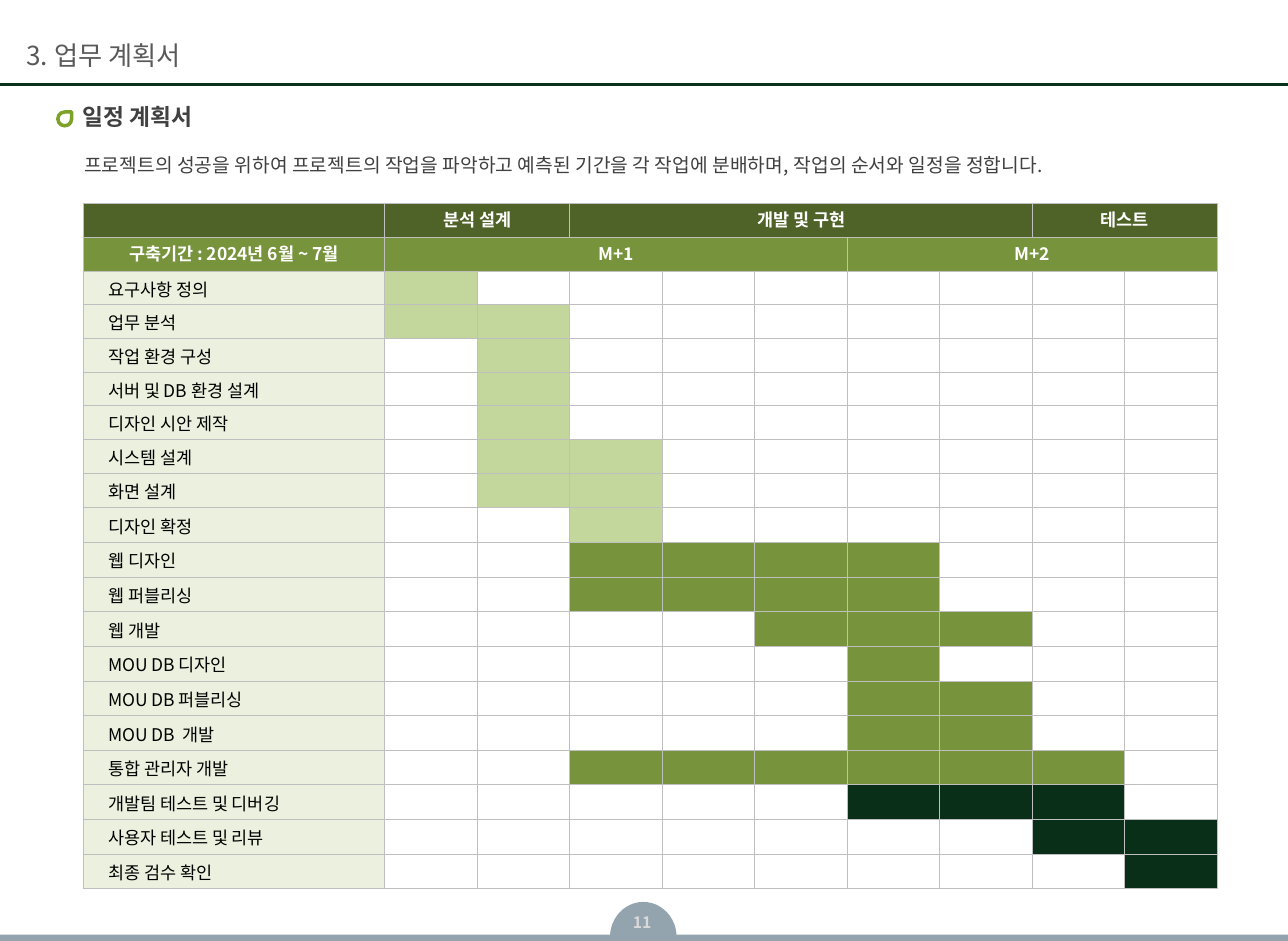
"""Build the project schedule slide with its Gantt table."""
import pptx
import pptx.util
import pptx.dml.color
import pptx.enum.shapes
import pptx.enum.text
import pptx.oxml.ns
from lxml import etree

Inches, Pt, Cm = pptx.util.Inches, pptx.util.Pt, pptx.util.Cm
ALIGN = pptx.enum.text.PP_ALIGN
ANCHOR = pptx.enum.text.MSO_ANCHOR
SHAPE = pptx.enum.shapes.MSO_SHAPE
qn = pptx.oxml.ns.qn

WIDTH, HEIGHT = 10.24, 7.48
FONT = "Noto Sans CJK KR"
COLORS = {
    "white": "FFFFFF", "black": "000000", "text": "404040", "section": "595959",
    "footer": "93A4AE", "number": "D9D9D9", "rule": "093019", "drop": "7CA228",
    "border": "BFBFBF", "phase": "4F6228", "month": "77933C", "task": "EBF1DE",
    "design": "C3D69B", "build": "77933C", "test": "092F19",
}

TEXTS = [
    ("3. 업무 계획서", (-0.02, 0.22, 6.31, 0.44), 15, "section", False,
     {"margin_left": Inches(0.23), "vertical_anchor": ANCHOR.MIDDLE}, {}),
    ("일정 계획서", (0.66, 0.82, 9.56, 0.22), 13, "text", True, {}, {}),
    ("프로젝트의 성공을 위하여 프로젝트의 작업을 파악하고 예측된 기간을 각 작업에 분배하며, "
     "작업의 순서와 일정을 정합니다.", (0.67, 1.18, 9.02, 0.22), 11, "text", False, {},
     {"alignment": ALIGN.JUSTIFY, "line_spacing": 1.2}),
    ("11", (4.85, 7.21, 0.51, 0.37), 9, "number", True,
     {"margin_top": Inches(0.05)}, {"alignment": ALIGN.CENTER}),
]

HEADERS = [
    ("phase", [("", 1), ("분석 설계", 2), ("개발 및 구현", 5), ("테스트", 2)]),
    ("month", [("구축기간 : 2024년 6월 ~ 7월", 1), ("M+1", 5), ("M+2", 4)]),
]
TASKS = [
    ("요구사항 정의", 1, 1, "design"),
    ("업무 분석", 1, 2, "design"),
    ("작업 환경 구성", 2, 2, "design"),
    ("서버 및 DB 환경 설계", 2, 2, "design"),
    ("디자인 시안 제작", 2, 2, "design"),
    ("시스템 설계", 2, 3, "design"),
    ("화면 설계", 2, 3, "design"),
    ("디자인 확정", 3, 3, "design"),
    ("웹 디자인", 3, 6, "build"),
    ("웹 퍼블리싱", 3, 6, "build"),
    ("웹 개발", 5, 7, "build"),
    ("MOU DB 디자인", 6, 6, "build"),
    ("MOU DB 퍼블리싱", 6, 7, "build"),
    ("MOU DB  개발", 6, 7, "build"),
    ("통합 관리자 개발", 3, 8, "build"),
    ("개발팀 테스트 및 디버깅", 6, 8, "test"),
    ("사용자 테스트 및 리뷰", 8, 9, "test"),
    ("최종 검수 확인", 9, 9, "test"),
]
PERIODS = 9
TABLE_LEFT, TABLE_TOP, TABLE_WIDTH, TASK_WIDTH = 0.66, 1.62, 9.02, 2.4
SHORT_ROWS, SHORT_ROW, TALL_ROW = 8, Cm(0.68), Cm(0.7)

NO_MARGINS = {f"margin_{side}": 0 for side in ("left", "top", "right", "bottom")}
CELL = {**NO_MARGINS, "vertical_anchor": ANCHOR.MIDDLE}
HEADER_CELL = {**CELL, "margin_top": Inches(0.03), "margin_bottom": Inches(0.03)}
TASK_CELL = {**CELL, "margin_left": Inches(0.2), "margin_top": Inches(0.01)}
HEADER_PARAGRAPH = {"alignment": ALIGN.CENTER, "line_spacing": 0.84}


def color(name):
    return pptx.dml.color.RGBColor.from_string(COLORS[name])


def apply(target, values):
    for name, value in values.items():
        setattr(target, name, value)


def paint(target, name):
    target.fill.solid()
    target.fill.fore_color.rgb = color(name)


def write(paragraph, text, size, color_name, bold, values):
    apply(paragraph, values)
    run = paragraph.add_run()
    run.text = text
    apply(run.font, {"name": FONT, "size": Pt(size), "bold": bold})
    run.font.color.rgb = color(color_name)
    etree.SubElement(run.font._element, qn("a:ea"), typeface=FONT)


def add_shape(slide, kind, box, fill, line=None, weight=0):
    shape = slide.shapes.add_shape(kind, *map(Inches, box))
    shape.shadow.inherit = False
    paint(shape, fill)
    if line:
        shape.line.color.rgb = color(line)
        shape.line.width = Pt(weight)
    else:
        shape.line.fill.background()
    return shape


def add_text(slide, text, box, size, color_name, bold, frame_values, values):
    frame = slide.shapes.add_textbox(*map(Inches, box)).text_frame
    apply(frame, {"word_wrap": True, **NO_MARGINS, **frame_values})
    write(frame.paragraphs[0], text, size, color_name, bold, values)


def format_cell(cell, fill, values):
    apply(cell, values)
    properties = cell._tc.get_or_add_tcPr()
    for side in ("lnL", "lnR", "lnT", "lnB"):
        border = etree.SubElement(properties, qn(f"a:{side}"), w=str(Pt(0.5)))
        solid = etree.SubElement(border, qn("a:solidFill"))
        etree.SubElement(solid, qn("a:srgbClr"), val=COLORS["border"])
    paint(cell, fill)
    paragraph = cell.text_frame.paragraphs[0]
    etree.SubElement(paragraph._p, qn("a:endParaRPr"), sz="1000")


def add_schedule(slide):
    row_count = len(HEADERS) + len(TASKS)
    heights = [SHORT_ROW if row < SHORT_ROWS else TALL_ROW for row in range(row_count)]
    frame = slide.shapes.add_table(row_count, PERIODS + 1, Inches(TABLE_LEFT), Inches(TABLE_TOP),
                                   Inches(TABLE_WIDTH), sum(heights))
    table = frame.table
    apply(table, {"first_row": False, "horz_banding": False})
    for row, height in zip(table.rows, heights):
        row.height = height
    for index, column in enumerate(table.columns):
        column.width = Inches((TABLE_WIDTH - TASK_WIDTH) / PERIODS if index else TASK_WIDTH)

    for row, (fill, groups) in enumerate(HEADERS):
        start = 0
        for text, span in groups:
            for column in range(start, start + span):
                format_cell(table.cell(row, column), fill, HEADER_CELL)
            cell = table.cell(row, start)
            if span > 1:
                cell.merge(table.cell(row, start + span - 1))
            if text:
                write(cell.text_frame.paragraphs[0], text, 10, "white", True, HEADER_PARAGRAPH)
            start += span

    for row, (task, first, last, fill) in enumerate(TASKS, len(HEADERS)):
        name_cell = table.cell(row, 0)
        format_cell(name_cell, "task", TASK_CELL)
        write(name_cell.text_frame.paragraphs[0], task, 10, "black", False, {})
        for period in range(1, PERIODS + 1):
            active = first <= period <= last
            format_cell(table.cell(row, period), fill if active else "white", CELL)


def main():
    presentation = pptx.Presentation()
    apply(presentation, {"slide_width": Inches(WIDTH), "slide_height": Inches(HEIGHT)})
    slide = presentation.slides.add_slide(presentation.slide_layouts[6])

    dome = add_shape(slide, SHAPE.CHORD, (4.85, 7.17, 0.53, 0.56), "footer")
    dome.adjustments[0], dome.adjustments[1] = 108.41, 214.66
    add_shape(slide, SHAPE.RECTANGLE, (0, HEIGHT - 0.05, WIDTH, 0.05), "footer")
    rule = slide.shapes.add_connector(pptx.enum.shapes.MSO_CONNECTOR.STRAIGHT,
                                      0, Inches(0.67), Inches(WIDTH), Inches(0.67))
    rule.line.color.rgb = color("rule")
    rule.line.width = Pt(1.5)
    etree.SubElement(rule._element.spPr, qn("a:effectLst"))
    add_shape(slide, SHAPE.TEAR, (0.46, 0.89, 0.11, 0.11), "white", "drop", 2)

    for text in TEXTS:
        add_text(slide, *text)
    add_schedule(slide)
    presentation.save("out.pptx")


if __name__ == "__main__":
    main()
